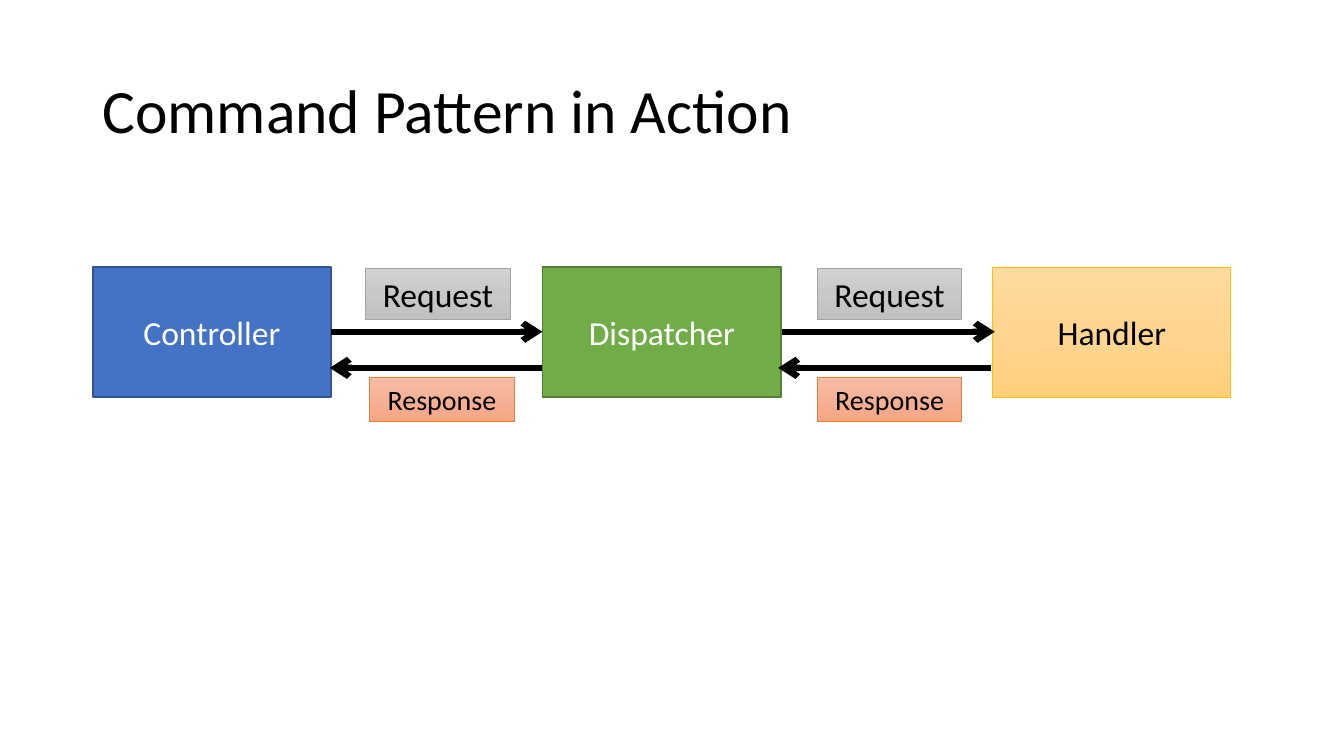
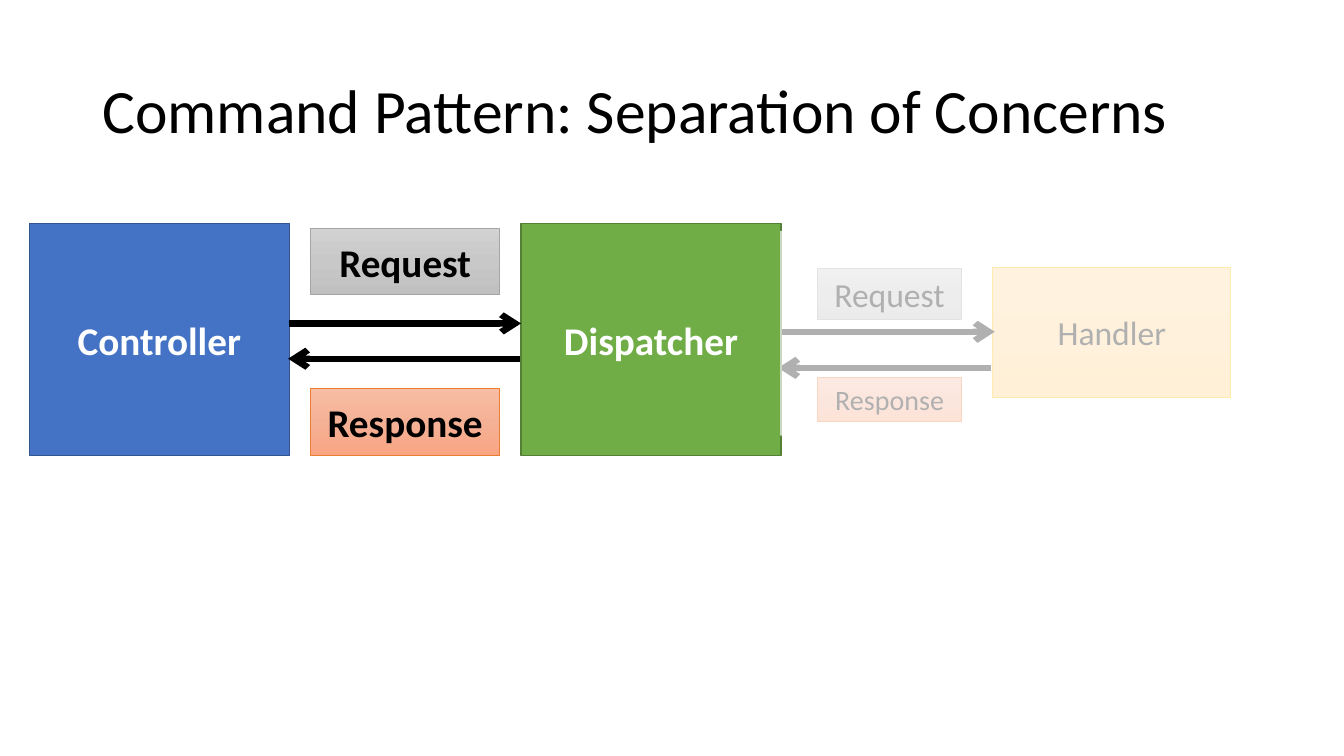
from copy import deepcopy
from dataclasses import dataclass

from lxml import etree
from pptx import Presentation
from pptx.dml.color import RGBColor
from pptx.enum import shapes, text
from pptx.oxml import ns
from pptx.slide import Slide
from pptx.util import Cm, Pt

FONT = "Calibri"
BLACK, WHITE = "000000", "FFFFFF"


@dataclass(frozen=True)
class Style:
    fills: tuple[str, ...]
    border: str
    border_width: float
    ink: str


@dataclass(frozen=True)
class Box:
    label: str
    style: Style
    left: float
    top: float
    width: float
    height: float
    size: float = 24
    bold: bool = False


@dataclass(frozen=True)
class Arrow:
    start: float
    end: float
    y: float


CONTROLLER = Style(("4472C4",), "325491", 1, WHITE)
DISPATCHER = Style(("70AD47",), "538035", 1, WHITE)
HANDLER = Style(("FFDB9E", "FFD590", "FFD07C"), "FFC000", 0.5, BLACK)
REQUEST = Style(("D2D2D2", "C8C8C8", "C0C0C0"), "A5A5A5", 0.5, BLACK)
RESPONSE = Style(("F7BDA5", "F5B196", "F8A582"), "ED7D31", 0.5, BLACK)


def rgb(value: str) -> RGBColor:
    return RGBColor.from_string(value)


def write(frame, content: str, *, size: float, color: str = BLACK,
          bold: bool = False, align=text.PP_ALIGN.CENTER,
          spacing: float = 1.0) -> None:
    frame.word_wrap = True
    frame.auto_size = text.MSO_AUTO_SIZE.NONE
    frame.vertical_anchor = text.MSO_ANCHOR.MIDDLE
    paragraph = frame.paragraphs[0]
    paragraph.alignment = align
    paragraph.line_spacing = spacing
    run = paragraph.add_run()
    run.text = content
    run.font.name = FONT
    run.font.size = Pt(size)
    run.font.bold = bold
    run.font.color.rgb = rgb(color)


def paint(shape, colors: tuple[str, ...]) -> None:
    if len(colors) == 1:
        shape.fill.solid()
        shape.fill.fore_color.rgb = rgb(colors[0])
        return
    shape.fill.gradient()
    shape.fill.gradient_angle = 270
    stop_list = shape._element.spPr.find(".//" + ns.qn("a:gsLst"))
    while len(stop_list) < len(colors):
        stop_list.append(deepcopy(stop_list[0]))
    for index, (stop, color) in enumerate(zip(shape.fill.gradient_stops, colors)):
        stop.position = index / (len(colors) - 1)
        stop.color.rgb = rgb(color)


def add_rectangle(slide: Slide, left: float, top: float, width: float,
                  height: float, colors: tuple[str, ...]):
    rectangle = slide.shapes.add_shape(
        shapes.MSO_SHAPE.RECTANGLE, Cm(left), Cm(top), Cm(width), Cm(height))
    rectangle.shadow.inherit = False
    paint(rectangle, colors)
    return rectangle


def draw_box(slide: Slide, box: Box) -> None:
    style = box.style
    rectangle = add_rectangle(
        slide, box.left, box.top, box.width, box.height, style.fills)
    rectangle.line.color.rgb = rgb(style.border)
    rectangle.line.width = Pt(style.border_width)
    write(rectangle.text_frame, box.label, size=box.size,
          color=style.ink, bold=box.bold)


def draw_arrow(slide: Slide, arrow: Arrow) -> None:
    connector = slide.shapes.add_connector(
        shapes.MSO_CONNECTOR.STRAIGHT,
        Cm(arrow.start), Cm(arrow.y), Cm(arrow.end), Cm(arrow.y))
    connector.line.color.rgb = rgb(BLACK)
    connector.line.width = Pt(4.5)
    outline = connector.line._get_or_add_ln()
    etree.SubElement(outline, ns.qn("a:tailEnd"), type="arrow")
    etree.SubElement(connector._element.spPr, ns.qn("a:effectLst"))


def draw_veil(slide: Slide) -> None:
    veil = add_rectangle(slide, 19.66, 5.82, 12.19, 5.16, (WHITE,))
    veil.line.fill.background()
    color = veil._element.spPr.find(".//" + ns.qn("a:srgbClr"))
    etree.SubElement(color, ns.qn("a:alpha"), val="69000")


def draw_all(slide: Slide, boxes: list[Box], arrows: list[Arrow]) -> None:
    for box in boxes:
        draw_box(slide, box)
    for arrow in arrows:
        draw_arrow(slide, arrow)


def step(label: str, style: Style, column: int) -> Box:
    return Box(label, style, 2.34 + 11.34 * column, 6.73, 6, 3.28)


def request(left: float) -> Box:
    return Box("Request", REQUEST, left, 6.77, 3.64, 1.29)


def response(left: float) -> Box:
    return Box("Response", RESPONSE, left, 9.5, 3.64, 1.12, size=20)


def draw_handler_side(slide: Slide) -> None:
    draw_all(
        slide,
        [step("Handler", HANDLER, 2), request(20.6), response(20.6)],
        [Arrow(19.71, 25.07, 8.36), Arrow(24.97, 19.61, 9.27)])


def draw_controller_side(slide: Slide) -> None:
    draw_all(
        slide,
        [step("Controller", CONTROLLER, 0), step("Dispatcher", DISPATCHER, 1),
         request(9.22), response(9.32)],
        [Arrow(8.33, 13.67, 8.36), Arrow(13.67, 8.31, 9.27)])


def draw_enlarged_controller_side(slide: Slide) -> None:
    def large(label: str, style: Style, left: float, top: float,
              width: float, height: float) -> Box:
        return Box(label, style, left, top, width, height, size=28, bold=True)

    draw_all(
        slide,
        [large("Controller", CONTROLLER, 0.74, 5.64, 6.55, 5.84),
         large("Dispatcher", DISPATCHER, 13.13, 5.64, 6.55, 5.84),
         large("Request", REQUEST, 7.83, 5.75, 4.76, 1.68),
         large("Response", RESPONSE, 7.83, 9.78, 4.76, 1.7)],
        [Arrow(7.29, 13.13, 8.15), Arrow(13.11, 7.26, 9.04)])


def add_titled_slide(deck, heading: str) -> Slide:
    slide = deck.slides.add_slide(deck.slide_layouts[5])
    title = slide.shapes.title
    title.left, title.top = Cm(2.33), Cm(1.01)
    title.width, title.height = Cm(29.21), Cm(3.68)
    write(title.text_frame, heading, size=44,
          align=text.PP_ALIGN.LEFT, spacing=0.9)
    return slide


def main() -> None:
    deck = Presentation()
    deck.slide_width, deck.slide_height = Cm(33.87), Cm(19.05)

    action = add_titled_slide(deck, "Command Pattern in Action")
    draw_controller_side(action)
    draw_handler_side(action)

    concerns = add_titled_slide(deck, "Command Pattern: Separation of Concerns")
    draw_handler_side(concerns)
    draw_enlarged_controller_side(concerns)
    draw_veil(concerns)

    deck.save("out.pptx")


if __name__ == "__main__":
    main()
